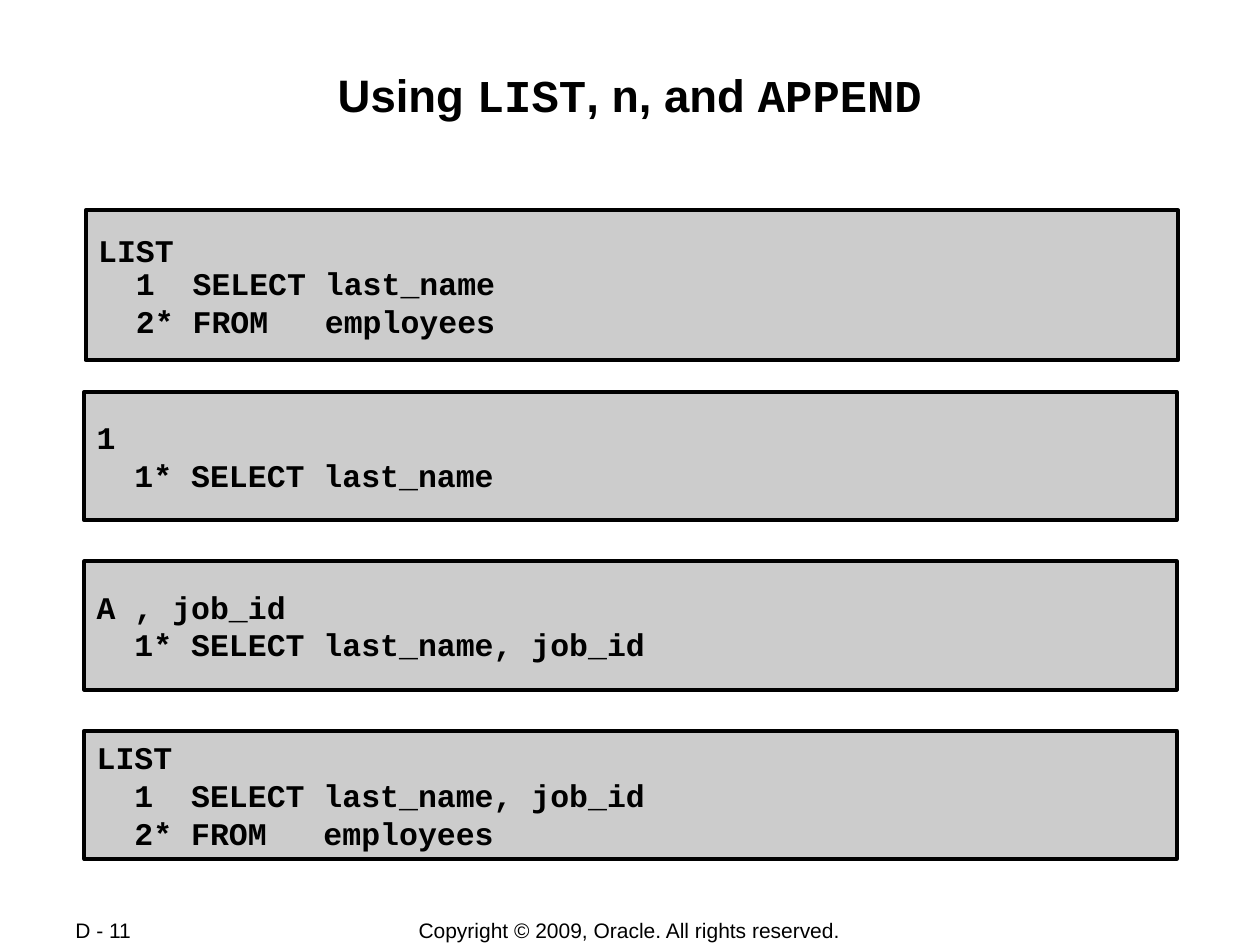
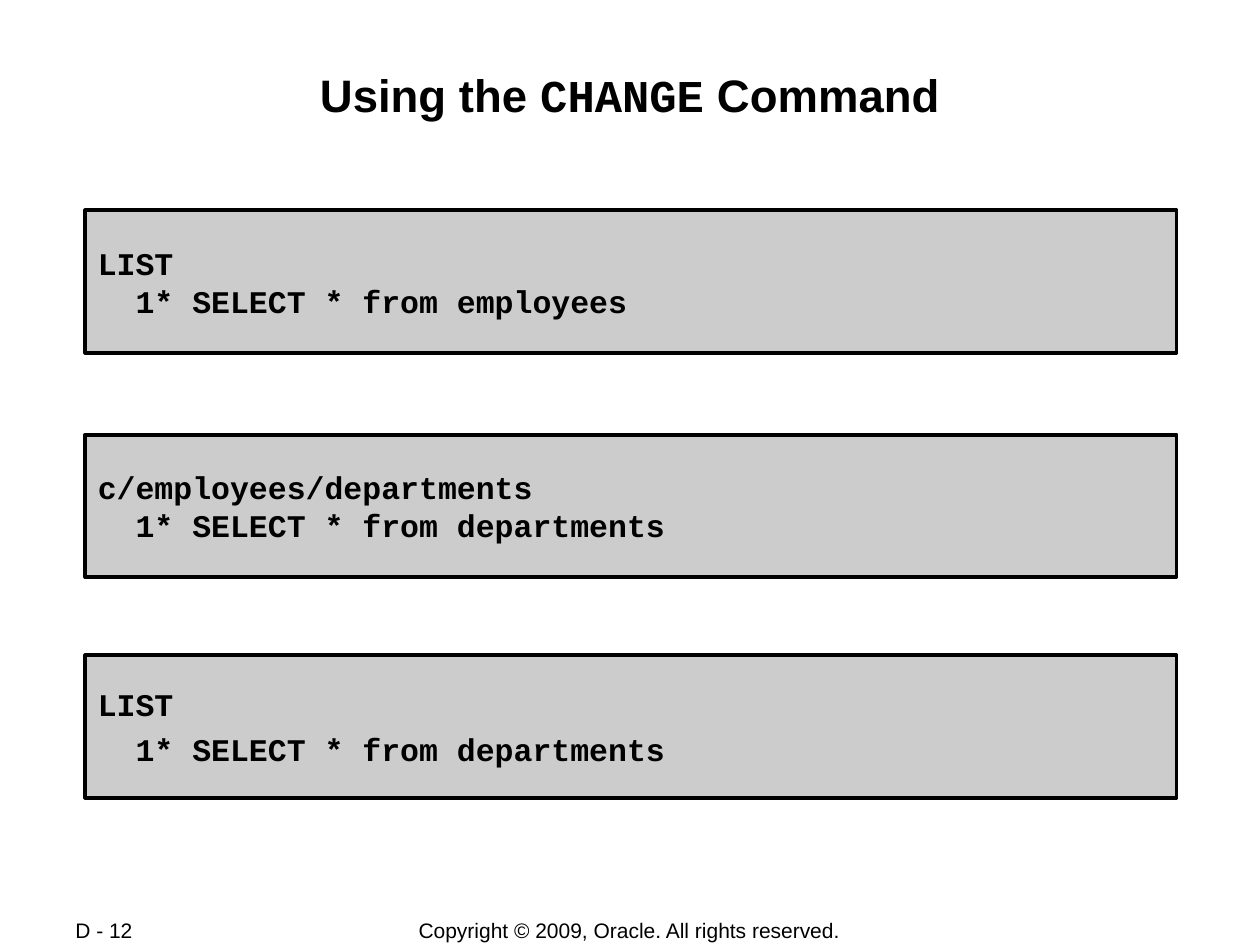
from pptx import Presentation
from pptx.dml.color import RGBColor
from pptx.enum.shapes import MSO_SHAPE
from pptx.enum.text import MSO_ANCHOR, PP_ALIGN
from pptx.util import Pt

RECTANGLE = MSO_SHAPE.RECTANGLE
TOP, MIDDLE = MSO_ANCHOR.TOP, MSO_ANCHOR.MIDDLE
LEFT, CENTER = PP_ALIGN.LEFT, PP_ALIGN.CENTER

COLORS = {"ink": "000000", "panel": "CCCCCC", "paper": "FFFFFF"}
SANS, MONO = "Arial", "Courier New"
COPYRIGHT = "Copyright © 2009, Oracle. All rights reserved."


class Deck:
    def __init__(self):
        self.presentation = Presentation()
        self.presentation.slide_width = Pt(720)
        self.presentation.slide_height = Pt(540)
        self.slide = None

    def color(self, name):
        return RGBColor.from_string(COLORS[name])

    def add_slide(self, title, number):
        self.slide = self.presentation.slides.add_slide(self.presentation.slide_layouts[6])
        background = self.slide.background.fill
        background.solid()
        background.fore_color.rgb = self.color("paper")
        self.footer(198, 323.3, COPYRIGHT, CENTER)
        self.footer(36, 76.3, f"D - {number}", LEFT)
        self.title(title)

    def text_box(self, left, top, width, height):
        return self.slide.shapes.add_textbox(Pt(left), Pt(top), Pt(width), Pt(height)).text_frame

    def frame(self, frame, anchor, side, top, bottom):
        frame.word_wrap = True
        frame.vertical_anchor = anchor
        frame.margin_left = frame.margin_right = Pt(side)
        frame.margin_top, frame.margin_bottom = Pt(top), Pt(bottom)

    def run(self, paragraph, text, size, font, bold=True):
        run = paragraph.add_run()
        run.text = text
        run.font.size = Pt(size)
        run.font.name = font
        run.font.bold = bold
        run.font.color.rgb = self.color("ink")

    def footer(self, left, width, text, align):
        frame = self.text_box(left, 524.2, width, 15)
        self.frame(frame, MIDDLE, 7.2, 0, 0)
        paragraph = frame.paragraphs[0]
        paragraph.alignment = align
        self.run(paragraph, text, 12, SANS, bold=False)

    def title(self, parts):
        frame = self.text_box(48.2, 34.6, 623.5, 69.1)
        self.frame(frame, TOP, 0.7, 3.5, 0.7)
        paragraph = frame.paragraphs[0]
        paragraph.alignment = CENTER
        for text, font in parts:
            self.run(paragraph, text, 26, font)

    def code(self, left, top, width, height, lines, line_spacing=None, space_before=None):
        panel = self.slide.shapes.add_shape(RECTANGLE, Pt(left), Pt(top), Pt(width), Pt(height))
        panel.shadow.inherit = False
        panel.fill.solid()
        panel.fill.fore_color.rgb = self.color("panel")
        panel.line.color.rgb = self.color("ink")
        panel.line.width = Pt(2.25)
        frame = panel.text_frame
        self.frame(frame, MIDDLE, 7.2, 0.7, 0.7)
        for index, line in enumerate(lines):
            paragraph = frame.add_paragraph() if index else frame.paragraphs[0]
            paragraph.alignment = LEFT
            if index == 1:
                paragraph.line_spacing = line_spacing
                paragraph.space_before = space_before
            self.run(paragraph, line, 18, MONO)


def list_and_append(deck):
    deck.add_slide([("Using ", SANS), ("LIST", MONO), (", ", SANS), ("n", MONO),
                    (", and ", SANS), ("APPEND", MONO)], 11)
    deck.code(49, 120.2, 624.2, 85.7,
              ["LIST", "  1  SELECT last_name", "  2* FROM   employees"], line_spacing=0.9)
    steps = [
        ["1", "  1* SELECT last_name"],
        ["A , job_id", "  1* SELECT last_name, job_id"],
        ["LIST", "  1  SELECT last_name, job_id", "  2* FROM   employees"],
    ]
    for index, lines in enumerate(steps):
        deck.code(48.2, 223.9 + 96.8 * index, 624.2, 73.4, lines)


def change_command(deck):
    deck.add_slide([("Using the ", SANS), ("CHANGE", MONO), (" Command", SANS)], 12)
    changed = "  1* SELECT * from departments"
    steps = [
        (120.2, ["LIST", "  1* SELECT * from employees"], None),
        (248.4, ["c/employees/departments", changed], None),
        (374.4, ["LIST", changed], Pt(4.5)),
    ]
    for top, lines, gap in steps:
        deck.code(48.8, top, 623.5, 81.4, lines, space_before=gap)


def main():
    deck = Deck()
    list_and_append(deck)
    change_command(deck)
    deck.presentation.save("out.pptx")


if __name__ == "__main__":
    main()
